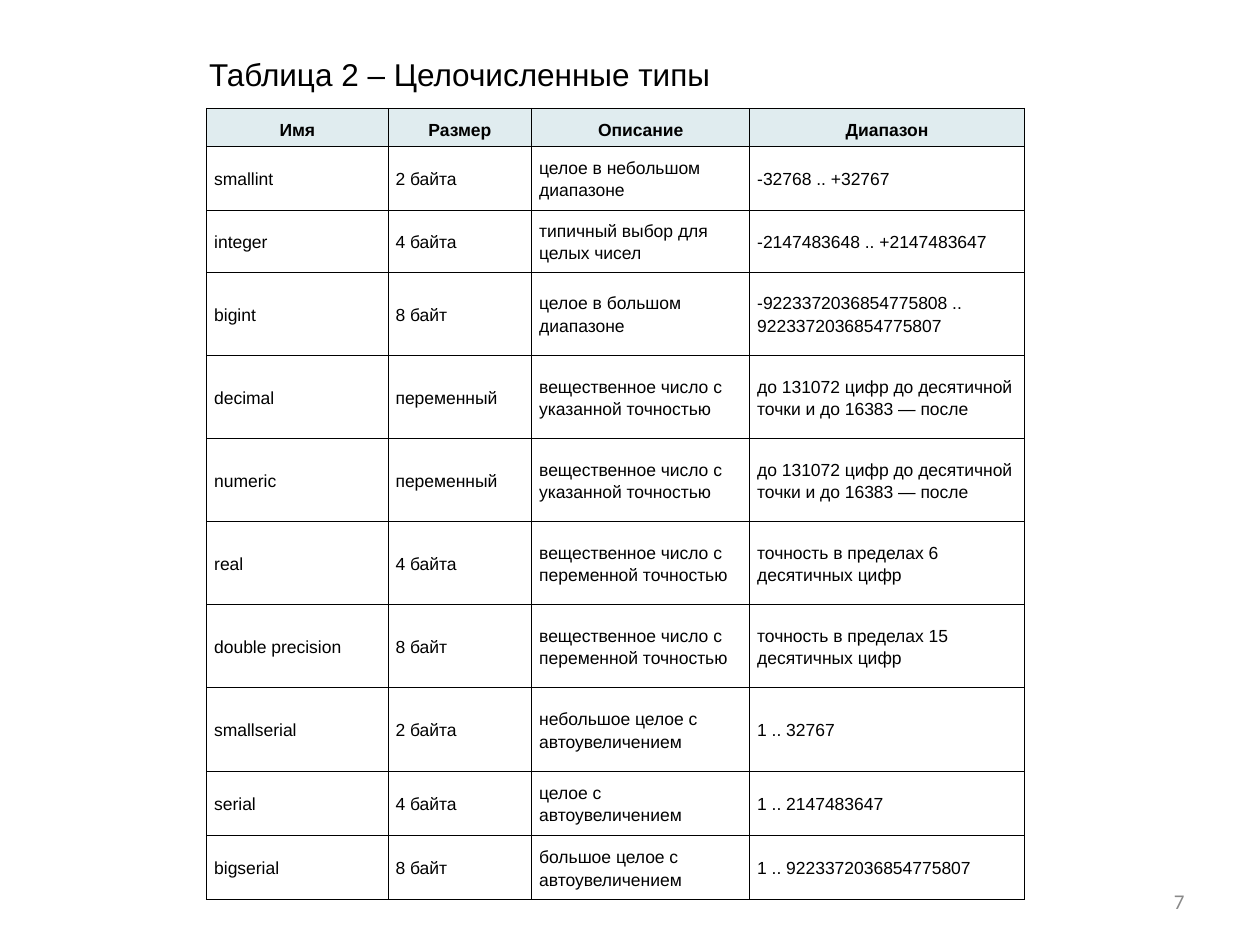
import pptx
import pptx.util
import pptx.dml.color
import pptx.enum.text
import pptx.oxml.ns
import lxml.etree

COLORS = {"text": "000000", "border": "000000", "header": "E0ECEF",
          "body": "FFFFFF", "number": "898989"}
ALIGN = pptx.enum.text.PP_ALIGN
ANCHOR = pptx.enum.text.MSO_ANCHOR
inches = pptx.util.Inches


def style_text(para, size, font, color, align, bold=False):
    para.alignment = align
    for span in para.runs:
        span.font.size = pptx.util.Pt(size)
        span.font.name = font
        span.font.bold = bold
        span.font.color.rgb = pptx.dml.color.RGBColor.from_string(COLORS[color])


def add_borders(cell):
    properties = cell._tc.get_or_add_tcPr()
    for index, side in enumerate(("lnL", "lnR", "lnT", "lnB")):
        line = lxml.etree.Element(pptx.oxml.ns.qn("a:" + side),
                                  w=str(pptx.util.Pt(0.45)))
        fill = lxml.etree.SubElement(line, pptx.oxml.ns.qn("a:solidFill"))
        lxml.etree.SubElement(fill, pptx.oxml.ns.qn("a:srgbClr"),
                              val=COLORS["border"])
        properties.insert(index, line)


deck = pptx.Presentation()
deck.slide_width, deck.slide_height = inches(10), inches(7.5)
page = deck.slides.add_slide(deck.slide_layouts[5])

# Title
title = page.shapes.title
title.left, title.top = inches(1.56), inches(0.39)
title.width, title.height = inches(4.77), inches(0.4)
title.text_frame.text = "Таблица 2 – Целочисленные типы"
title.text_frame.vertical_anchor = ANCHOR.TOP
title.text_frame.auto_size = pptx.enum.text.MSO_AUTO_SIZE.SHAPE_TO_FIT_TEXT
style_text(title.text_frame.paragraphs[0], 18, "Arial", "text", ALIGN.LEFT)

# Table of types
exact = "вещественное число с указанной точностью"
inexact = "вещественное число с переменной точностью"
digits = "до 131072 цифр до десятичной точки и до 16383 — после"
types = [
    ("Имя", "Размер", "Описание", "Диапазон"),
    ("smallint", "2 байта", "целое в небольшом диапазоне", "-32768 .. +32767"),
    ("integer", "4 байта", "типичный выбор для целых чисел",
     "-2147483648 .. +2147483647"),
    ("bigint", "8 байт", "целое в большом диапазоне",
     "-9223372036854775808 .. 9223372036854775807"),
    ("decimal", "переменный", exact, digits),
    ("numeric", "переменный", exact, digits),
    ("real", "4 байта", inexact, "точность в пределах 6 десятичных цифр"),
    ("double precision", "8 байт", inexact,
     "точность в пределах 15 десятичных цифр"),
    ("smallserial", "2 байта", "небольшое целое с автоувеличением", "1 .. 32767"),
    ("serial", "4 байта", "целое с автоувеличением", "1 .. 2147483647"),
    ("bigserial", "8 байт", "большое целое с автоувеличением",
     "1 .. 9223372036854775807"),
]
widths = [1.44, 1.14, 1.73, 2.18]
heights = [0.3, 0.51, 0.49] + [0.66] * 6 + [0.51] * 2
table = page.shapes.add_table(
    len(heights), len(widths), inches(1.64), inches(0.86),
    inches(sum(widths)), inches(sum(heights))).table
table.horz_banding = False
for column, width in zip(table.columns, widths):
    column.width = inches(width)
for row, height in zip(table.rows, heights):
    row.height = inches(height)

for row_index, values in enumerate(types):
    is_header = row_index == 0
    for column_index, value in enumerate(values):
        cell = table.cell(row_index, column_index)
        cell.text_frame.text = value
        cell.margin_left = cell.margin_right = inches(0.06)
        cell.margin_top = cell.margin_bottom = inches(0.05)
        cell.vertical_anchor = ANCHOR.BOTTOM if is_header else ANCHOR.MIDDLE
        cell.fill.solid()
        cell.fill.fore_color.rgb = pptx.dml.color.RGBColor.from_string(
            COLORS["header" if is_header else "body"])
        para = cell.text_frame.paragraphs[0]
        para.line_spacing = 1.15
        para.space_after = pptx.util.Pt(21.3)
        style_text(para, 10, "Arial", "text",
                   ALIGN.CENTER if is_header else ALIGN.LEFT, is_header)
        add_borders(cell)

# Page number
box = page.shapes.add_textbox(inches(7.17), inches(6.95), inches(2.33), inches(0.4))
box.text_frame.word_wrap = True
box.text_frame.vertical_anchor = ANCHOR.MIDDLE
box.text_frame.text = "7"
style_text(box.text_frame.paragraphs[0], 12, "Calibri", "number", ALIGN.RIGHT)

deck.save("out.pptx")
